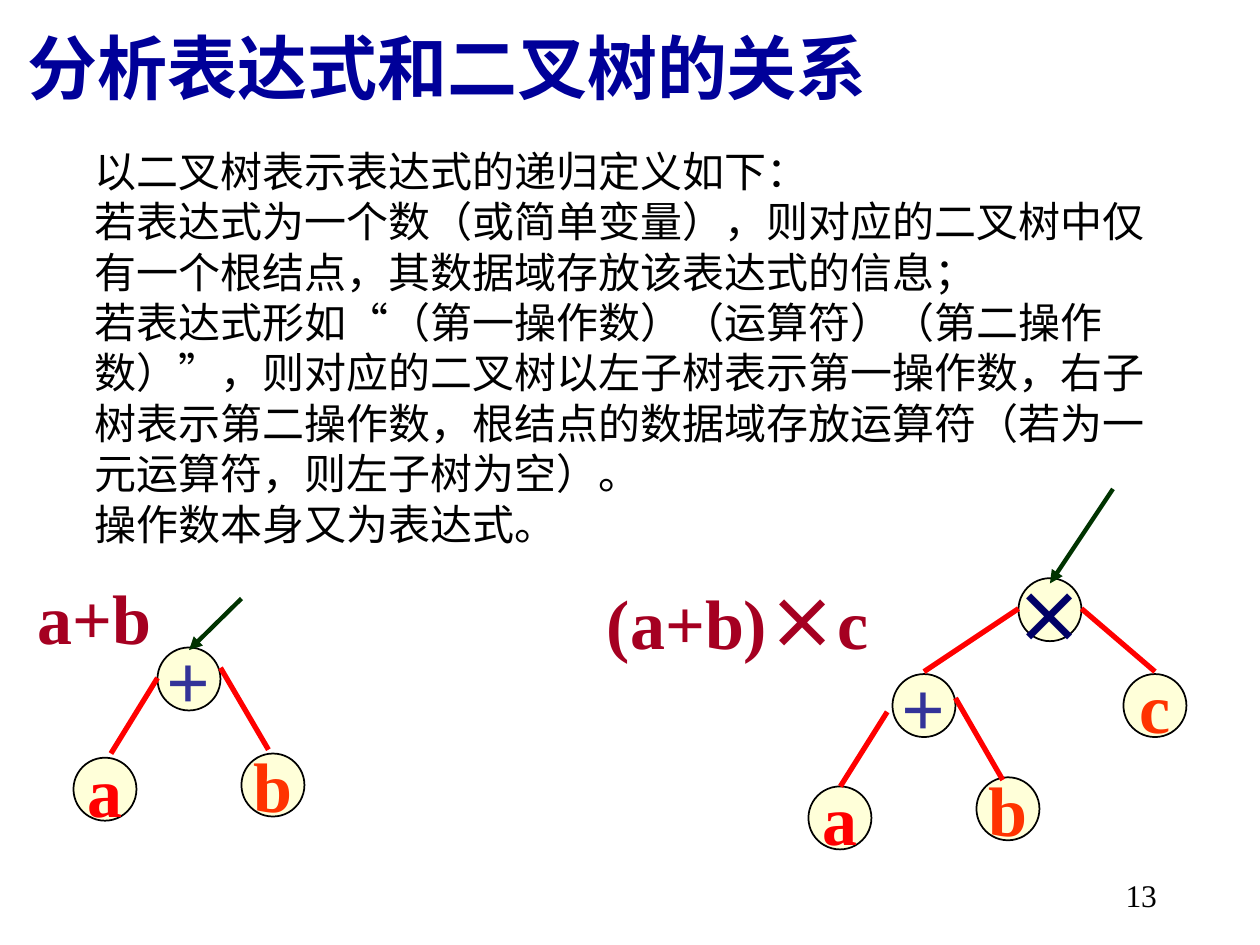
from dataclasses import dataclass

from lxml.etree import SubElement
from pptx import Presentation
from pptx.dml.color import RGBColor
from pptx.enum.shapes import MSO_CONNECTOR as Connector, MSO_SHAPE as Shape
from pptx.enum.text import MSO_ANCHOR as Anchor, PP_ALIGN as Align
from pptx.oxml.ns import qn
from pptx.util import Pt


@dataclass(frozen=True)
class Theme:
    latin: str = "Times New Roman"
    chinese: str = "Noto Sans CJK SC"
    title: str = "000099"
    text: str = "000000"
    expression: str = "A50021"
    node_fill: str = "FFFFD9"
    first_operand: str = "FF0000"
    operand: str = "FF3300"
    plus: str = "333399"
    times: str = "000066"
    edge: str = "FF0000"
    pointer: str = "003300"
    body_size: float = 24
    large_size: float = 40
    plus_size: float = 44
    number_size: float = 18
    line_factor: float = 1.2
    symbol_line: float = 55


THEME = Theme()
NODE_SIZE = 36

# Label: colour, size, font, line height
NODE_STYLES = {
    "a": (THEME.first_operand, THEME.large_size, THEME.latin, 48),
    "b": (THEME.operand, THEME.large_size, THEME.latin, 48),
    "c": (THEME.operand, THEME.large_size, THEME.latin, 48),
    "+": (THEME.plus, THEME.plus_size, THEME.latin, 52.8),
    "×": (THEME.times, THEME.large_size, THEME.chinese, THEME.symbol_line),
}

BODY = [
    "以二叉树表示表达式的递归定义如下：",
    "若表达式为一个数（或简单变量），则对应的二叉树中仅有一个根结点，其数据域存放该表达式的信息；",
    "若表达式形如“（第一操作数）（运算符）（第二操作数）”，则对应的二叉树以左子树表示第一操作数，"
    "右子树表示第二操作数，根结点的数据域存放运算符（若为一元运算符，则左子树为空）。",
    "操作数本身又为表达式。",
]

# Node and line positions are relative to the box of each tree.
SUM_TREE = {
    "nodes": [("a", 0, 91), ("b", 96, 88.6), ("+", 48, 28)],
    "edges": [(48, 45.4, 21.4, 88.6), (84, 39.6, 111.4, 86.4)],
    "pointer": (96, 0, 66, 29.5),
}
PRODUCT_TREE = {
    "nodes": [("a", 0, 170), ("b", 96, 164.8), ("c", 180, 105.8),
              ("×", 120, 51), ("+", 48, 105.8)],
    "edges": [(120, 68.4, 66, 104.4), (45, 127.4, 18.2, 170),
              (84, 119.5, 111, 166.3), (156, 68.4, 198, 104.4)],
    "pointer": (174, 0, 138, 54),
}


def rgb(colour):
    return RGBColor.from_string(colour)


def add_run(paragraph, text, size, colour, bold=False, font=THEME.latin):
    run = paragraph.add_run()
    run.text = text
    run.font.size = Pt(size)
    run.font.bold = bold
    run.font.name = font
    run.font.color.rgb = rgb(colour)
    properties = run.font._element
    SubElement(properties, qn("a:ea")).set("typeface", THEME.chinese)


def set_frame(shape, wrap=True, anchor=Anchor.TOP, top=3.6):
    frame = shape.text_frame
    frame.word_wrap = wrap
    frame.vertical_anchor = anchor
    frame.margin_left = frame.margin_right = Pt(7.2)
    frame.margin_top, frame.margin_bottom = Pt(top), Pt(3.6)
    return frame


def add_text_box(slide, box, **frame_options):
    shape = slide.shapes.add_textbox(*map(Pt, box))
    return set_frame(shape, **frame_options)


def add_title(slide, box):
    title = slide.shapes.title
    title.left, title.top, title.width, title.height = map(Pt, box)
    paragraph = set_frame(title).paragraphs[0]
    paragraph.alignment = Align.LEFT
    paragraph.line_spacing = Pt(52)
    add_run(paragraph, "分析表达式和二叉树的关系", THEME.large_size, THEME.title, bold=True)


def add_body(slide, box):
    frame = add_text_box(slide, box, top=6)
    for index, text in enumerate(BODY):
        paragraph = frame.add_paragraph() if index else frame.paragraphs[0]
        paragraph.line_spacing = Pt(THEME.body_size * THEME.line_factor)
        add_run(paragraph, text, THEME.body_size, THEME.text)


def add_expression(slide, box, parts, line_height):
    paragraph = add_text_box(slide, box, wrap=False).paragraphs[0]
    paragraph.line_spacing = Pt(line_height)
    for part in parts:
        font = THEME.chinese if part == "×" else THEME.latin
        add_run(paragraph, part, THEME.large_size, THEME.expression, True, font)


def add_page_number(slide, box):
    paragraph = add_text_box(slide, box).paragraphs[0]
    paragraph.alignment = Align.RIGHT
    add_run(paragraph, "13", THEME.number_size, THEME.text)


def add_node(slide, label, left, top):
    colour, size, font, line_height = NODE_STYLES[label]
    node = slide.shapes.add_shape(
        Shape.OVAL, Pt(left), Pt(top), Pt(NODE_SIZE), Pt(NODE_SIZE))
    node.shadow.inherit = False
    node.fill.solid()
    node.fill.fore_color.rgb = rgb(THEME.node_fill)
    node.line.color.rgb = rgb(THEME.text)
    node.line.width = Pt(1)
    paragraph = set_frame(node, wrap=False, anchor=Anchor.MIDDLE).paragraphs[0]
    paragraph.alignment = Align.CENTER
    paragraph.line_spacing = Pt(line_height)
    add_run(paragraph, label, size, colour, True, font)


def add_line(slide, ends, colour, width, arrow=False):
    line = slide.shapes.add_connector(Connector.STRAIGHT, *map(Pt, ends))
    line.line.color.rgb = rgb(colour)
    line.line.width = Pt(width)
    if arrow:
        SubElement(line.line._get_or_add_ln(), qn("a:tailEnd")).set("type", "triangle")
    SubElement(line._element.spPr, qn("a:effectLst"))


def add_tree(slide, left, top, tree):
    def placed(ends):
        x1, y1, x2, y2 = ends
        return left + x1, top + y1, left + x2, top + y2

    for label, x, y in tree["nodes"]:
        add_node(slide, label, left + x, top + y)
    for edge in tree["edges"]:
        add_line(slide, placed(edge), THEME.edge, 3)
    add_line(slide, placed(tree["pointer"]), THEME.pointer, 2.5, arrow=True)


def main():
    presentation = Presentation()
    presentation.slide_width, presentation.slide_height = Pt(720), Pt(540)
    slide = presentation.slides.add_slide(presentation.slide_layouts[5])
    add_title(slide, (8.64, 6.5, 711.36, 55.4))
    add_page_number(slide, (518.4, 496.8, 149.8, 36))
    add_body(slide, (46.8, 77, 629.3, 237.6))
    add_expression(slide, (14.4, 324.7, 79.2, 55.4), ["a+b"], 48)
    add_tree(slide, 42, 342, SUM_TREE)
    add_tree(slide, 462, 279.4, PRODUCT_TREE)
    add_expression(slide, (339.8, 324.7, 182.2, 55.4), ["(a+b)", "×", "c"], 51)
    presentation.save("out.pptx")


if __name__ == "__main__":
    main()
